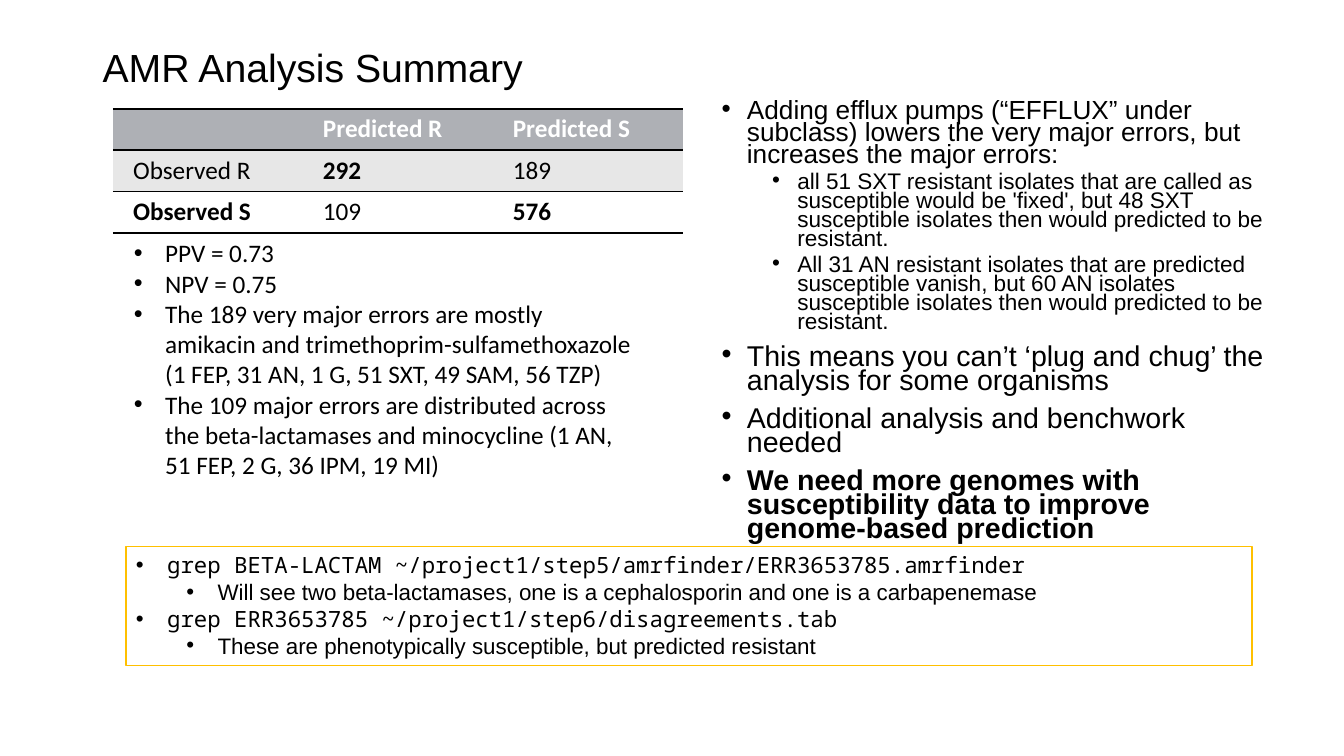
import pptx
import pptx.dml.color
import pptx.enum.shapes
import pptx.enum.text
import pptx.oxml.ns
import pptx.util
from lxml import etree

WIDTH, HEIGHT = 13.33, 7.5
BLACK, WHITE, GOLD = "000000", "FFFFFF", "FFC000"
SANS, TABLE_FONT, MONO = "Arial", "Calibri", "Noto Sans Mono"

TITLE = "AMR Analysis Summary"
COUNTS = [
    ["", "Predicted R", "Predicted S"],
    ["Observed R", "292", "189"],
    ["Observed S", "109", "576"],
]
BOLD_CELLS = {(0, 1), (0, 2), (1, 1), (2, 0), (2, 2)}
ROW_FILLS = ["AEB0B5", "E7E7E7", WHITE]
ROW_RULES = [{"T": 2, "B": 1.5}, {"T": 1.5}, {"B": 2}]

# level, text, font, size, bold
ERRORS = [(0, text, TABLE_FONT, 18, False) for text in (
    "PPV = 0.73",
    "NPV = 0.75",
    "The 189 very major errors are mostly amikacin and trimethoprim-sulfamethoxazole "
    "(1 FEP, 31 AN, 1 G, 51 SXT, 49 SAM, 56 TZP)",
    "The 109 major errors are distributed across the beta-lactamases and minocycline "
    "(1 AN, 51 FEP, 2 G, 36 IPM, 19 MI)",
)]
FINDINGS = [
    (0, "Adding efflux pumps (“EFFLUX” under subclass) lowers the very major errors, "
        "but increases the major errors:", SANS, 18.7, False),
    (1, "all 51 SXT resistant isolates that are called as susceptible would be 'fixed', "
        "but 48 SXT susceptible isolates then would predicted to be resistant.", SANS, 16.1, False),
    (1, "All 31 AN resistant isolates that are predicted susceptible vanish, but 60 AN isolates "
        "susceptible isolates then would predicted to be resistant.", SANS, 16.1, False),
    (0, "This means you can’t ‘plug and chug’ the analysis for some organisms", SANS, 20.4, False),
    (0, "Additional analysis and benchwork needed", SANS, 20.4, False),
    (0, "We need more genomes with susceptibility data to improve genome-based prediction",
     SANS, 20.4, True),
]
COMMANDS = [
    (0, "grep BETA-LACTAM ~/project1/step5/amrfinder/ERR3653785.amrfinder", MONO, 16, False),
    (1, "Will see two beta-lactamases, one is a cephalosporin and one is a carbapenemase",
     SANS, 16, False),
    (0, "grep ERR3653785 ~/project1/step6/disagreements.tab", MONO, 16, False),
    (1, "These are phenotypically susceptible, but predicted resistant", SANS, 16, False),
]

TITLE_AREA = (0.92, -0.03, 11.5, 1.45)
TABLE_AREA = (1.12, 1.08, 5.65, 1.23)
ERRORS_AREA = (1.23, 2.31, 5.21, 2.83)
FINDINGS_AREA = (7.06, 0.96, 5.67, 4.48)
COMMANDS_AREA = (1.25, 5.42, 11.17, 1.18)


def inches(area):
    """Convert an area to lengths."""
    return [pptx.util.Inches(value) for value in area]


def colour(code):
    """Turn a hex string into a colour."""
    return pptx.dml.color.RGBColor.from_string(code)


def element(parent, name, **attributes):
    """Append a drawing element to its parent."""
    return etree.SubElement(parent, pptx.oxml.ns.qn("a:" + name), attributes)


def write(para, text, font, size, bold=False, ink=BLACK):
    """Fill a paragraph and format its text."""
    para.text = text
    for span in para.runs:
        span.font.name = font
        span.font.size = pptx.util.Pt(size)
        span.font.bold = bold
        span.font.color.rgb = colour(ink)


def write_bullets(frame, items, hang, spacing=None, gaps=(0, 0)):
    """Write bulleted paragraphs on two levels."""
    frame.word_wrap = True
    for index, (level, text, font, size, bold) in enumerate(items):
        para = frame.add_paragraph() if index else frame.paragraphs[0]
        para.level = level
        para.alignment = pptx.enum.text.PP_ALIGN.LEFT
        properties = para._p.get_or_add_pPr()
        properties.set("marL", str(pptx.util.Inches(hang + level * 0.5)))
        properties.set("indent", str(-pptx.util.Inches(hang)))
        element(properties, "buFont", typeface=SANS)
        element(properties, "buChar", char="•")
        if spacing:
            para.line_spacing = spacing
        para.space_before = pptx.util.Pt(gaps[level] if index else 0)
        write(para, text, font, size, bold)


def add_counts(page):
    """Draw the table of predicted and observed counts."""
    frame = page.shapes.add_table(len(COUNTS), len(COUNTS[0]), *inches(TABLE_AREA))
    table = frame.table
    table.horz_banding = False
    style = table._tbl.tblPr.find(pptx.oxml.ns.qn("a:tableStyleId"))
    style.text = "{2D5ABB26-0587-4C30-8999-92F81FD0307C}"
    for row, values in enumerate(COUNTS):
        for column, value in enumerate(values):
            cell = table.cell(row, column)
            cell.margin_left = cell.margin_right = pptx.util.Inches(0.2)
            write(cell.text_frame.paragraphs[0], value, TABLE_FONT, 18,
                  (row, column) in BOLD_CELLS, BLACK if row else WHITE)
            properties = cell._tc.get_or_add_tcPr()
            for side, points in ROW_RULES[row].items():
                rule = element(properties, "ln" + side, w=str(pptx.util.Pt(points)))
                element(element(rule, "solidFill"), "srgbClr", val=BLACK)
            cell.fill.solid()
            cell.fill.fore_color.rgb = colour(ROW_FILLS[row])


def main():
    """Build the summary slide."""
    deck = pptx.Presentation()
    deck.slide_width, deck.slide_height = inches((WIDTH, HEIGHT))
    page = deck.slides.add_slide(deck.slide_layouts[6])

    title = page.shapes.add_textbox(*inches(TITLE_AREA)).text_frame
    title.word_wrap = True
    title.vertical_anchor = pptx.enum.text.MSO_ANCHOR.MIDDLE
    title.paragraphs[0].line_spacing = 0.9
    write(title.paragraphs[0], TITLE, SANS, 28)

    add_counts(page)
    findings = page.shapes.add_textbox(*inches(FINDINGS_AREA))
    write_bullets(findings.text_frame, FINDINGS, 0.25, 0.7, (10, 5))
    errors = page.shapes.add_textbox(*inches(ERRORS_AREA))
    write_bullets(errors.text_frame, ERRORS, 0.31)

    commands = page.shapes.add_shape(
        pptx.enum.shapes.MSO_SHAPE.RECTANGLE, *inches(COMMANDS_AREA))
    commands.shadow.inherit = False
    commands.fill.background()
    commands.line.color.rgb = colour(GOLD)
    commands.line.width = pptx.util.Pt(1)
    commands.text_frame.vertical_anchor = pptx.enum.text.MSO_ANCHOR.TOP
    write_bullets(commands.text_frame, COMMANDS, 0.31)

    deck.save("out.pptx")


if __name__ == "__main__":
    main()
